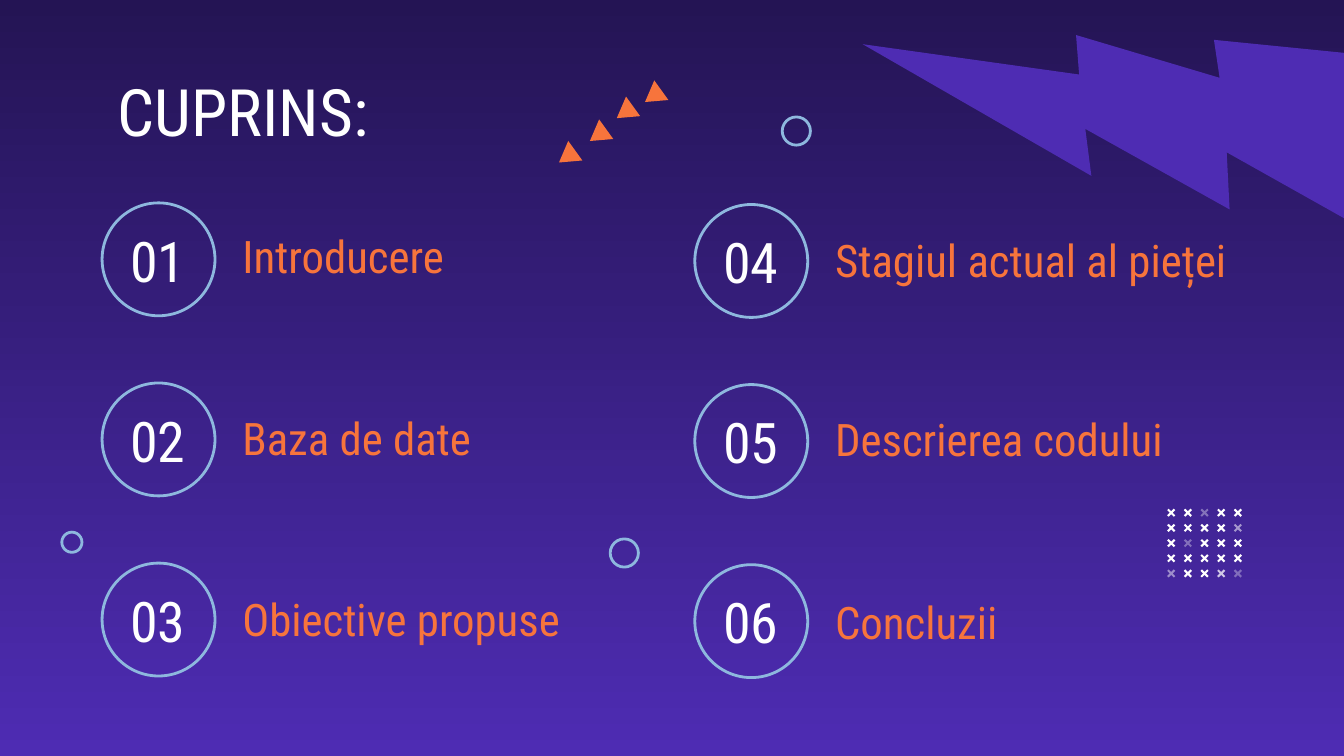
from pptx import Presentation
from pptx.dml.color import RGBColor
from pptx.enum.shapes import MSO_SHAPE
from pptx.enum.text import MSO_ANCHOR, PP_ALIGN
from pptx.oxml.ns import qn
from pptx.util import Inches, Pt
from lxml.etree import SubElement

WHITE, ORANGE, BLUE, VIOLET, NIGHT = "FFFFFF", "F7743C", "8EB8DE", "4E2CB3", "241454"


def color(value):
    return RGBColor.from_string(value)


class Deck:
    """Draws styled elements on a grid of 100 columns and 56.25 rows."""

    font = "Roboto Condensed"

    def __init__(self):
        self.presentation = Presentation()
        self.presentation.slide_width = Inches(10)
        self.presentation.slide_height = Inches(10) * 9 // 16
        self.unit = self.presentation.slide_width / 100
        self.slide = None

    def add_slide(self, top_color, bottom_color):
        self.slide = self.presentation.slides.add_slide(self.presentation.slide_layouts[6])
        fill = self.slide.background.fill
        fill.gradient()
        fill.gradient_angle = 270
        for stop, value in zip(fill.gradient_stops, (top_color, bottom_color)):
            stop.color.rgb = color(value)

    def box(self, *lengths):
        return [round(length * self.unit) for length in lengths]

    def solid(self, preset, left, top, width, height, fill, rotation=0, opacity=100):
        shape = self.slide.shapes.add_shape(preset, *self.box(left, top, width, height))
        shape.shadow.inherit = False
        shape.rotation = rotation
        shape.fill.solid()
        shape.fill.fore_color.rgb = color(fill)
        shape.line.fill.background()
        if opacity < 100:
            tint = shape.fill._xPr.find(qn("a:solidFill"))[0]
            SubElement(tint, qn("a:alpha"), val=str(opacity * 1000))
        return shape

    def ring(self, left, top, size):
        ring = self.slide.shapes.add_shape(MSO_SHAPE.OVAL, *self.box(left, top, size, size))
        ring.shadow.inherit = False
        ring.fill.background()
        ring.line.color.rgb = color(BLUE)
        ring.line.width = Pt(1.5)

    def text(self, words, left, top, width, height, size, fill=WHITE,
             align=PP_ALIGN.LEFT, anchor=MSO_ANCHOR.MIDDLE):
        frame = self.slide.shapes.add_textbox(*self.box(left, top, width, height)).text_frame
        frame.word_wrap = True
        frame.vertical_anchor = anchor
        frame.margin_left = frame.margin_right = Inches(0.1)
        frame.margin_top = frame.margin_bottom = Inches(0.1)
        paragraph = frame.paragraphs[0]
        paragraph.text = words
        paragraph.alignment = align
        paragraph.font.name = self.font
        paragraph.font.size = Pt(size)
        paragraph.font.color.rgb = color(fill)

    def section(self, number, label, left, top, label_top):
        self.ring(left, top, 8.4)
        self.text(f"{number:02}", left - 0.3, top - 0.57, 8.9, 9.6, 30, align=PP_ALIGN.CENTER)
        self.text(label, left + 9.45, label_top, 34.1, 3.7, 24, ORANGE)

    def bolt(self, left, top, size, rotation):
        bolt = self.solid(MSO_SHAPE.LIGHTNING_BOLT, left, top, size, size, VIOLET, rotation)
        bolt._element.spPr.find(qn("a:xfrm")).set("flipH", "1")

    def crosses(self, left, top, opacities):
        for row, line in enumerate(opacities):
            for column, opacity in enumerate(line):
                cross = self.solid(MSO_SHAPE.CROSS, left + 1.24 * column, top + 1.13 * row,
                                   0.7, 0.7, WHITE, 315, opacity)
                cross.adjustments[0] = 0.39


def main():
    deck = Deck()
    deck.add_slide(NIGHT, VIOLET)
    deck.bolt(70, -6.8, 31.7, 59.9)
    deck.text("CUPRINS:", 7.8, 4.3, 84.3, 6.4, 35, anchor=MSO_ANCHOR.TOP)

    sections = [
        ("Introducere", 17.2), ("Baza de date", 30.7), ("Obiective propuse", 44.2),
        ("Stagiul actual al pieței", 17.5), ("Descrierea codului", 30.8), ("Concluzii", 44.4),
    ]
    for index, (label, label_top) in enumerate(sections):
        column, row = divmod(index, 3)
        deck.section(index + 1, label, 7.6 + 44.1 * column,
                     15.1 + 0.12 * column + 13.4 * row, label_top)

    deck.crosses(86.8, 37.8, [
        (100, 100, 36, 100, 100),
        (100, 100, 100, 100, 53),
        (100, 34, 100, 100, 100),
        (100, 100, 100, 100, 100),
        (48, 100, 100, 75, 33),
    ])
    for left, top, size in ((4.6, 39.6, 1.5), (58.2, 8.7, 2.1), (45.4, 40.1, 2.1)):
        deck.ring(left, top, size)
    for left, top in ((47.7, 6.4), (45.6, 7.6), (43.6, 9.3), (41.3, 10.9)):
        deck.solid(MSO_SHAPE.ISOSCELES_TRIANGLE, left, top, 1.8, 1.5, ORANGE, 234.2)

    deck.presentation.save("out.pptx")


if __name__ == "__main__":
    main()
